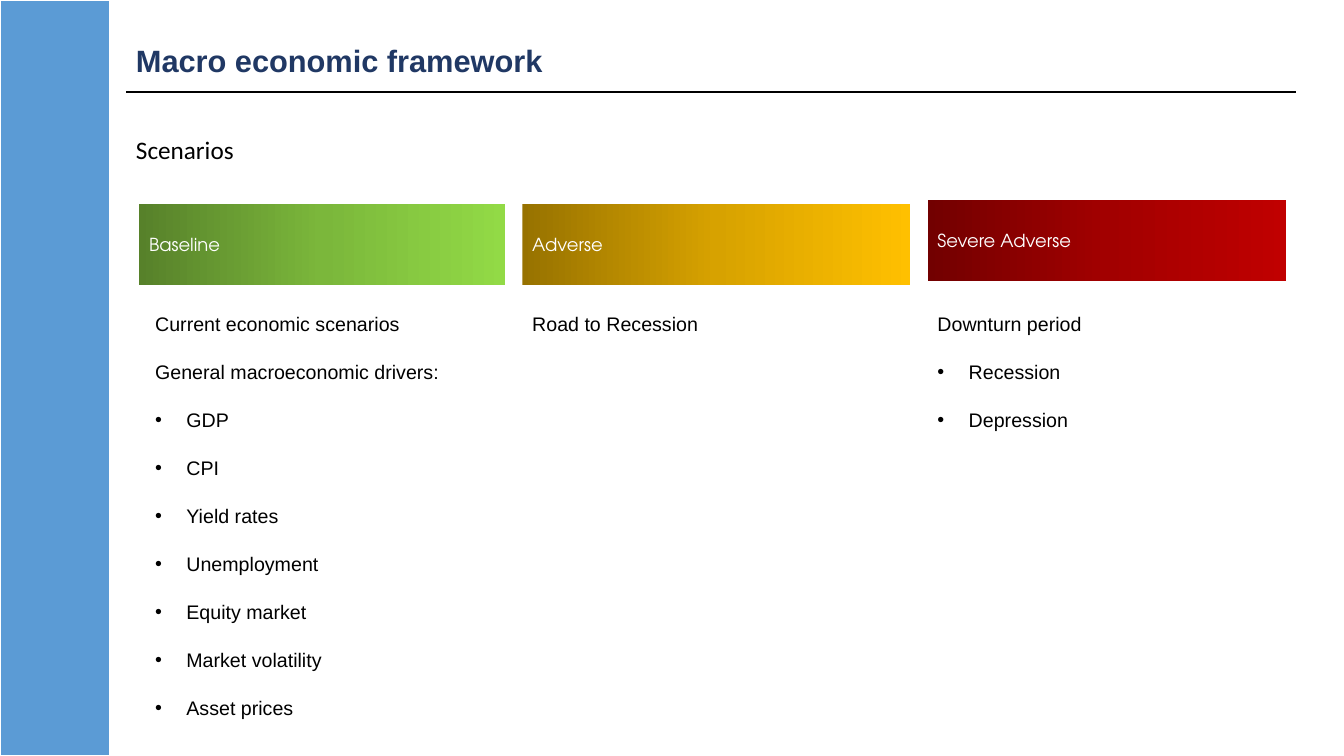
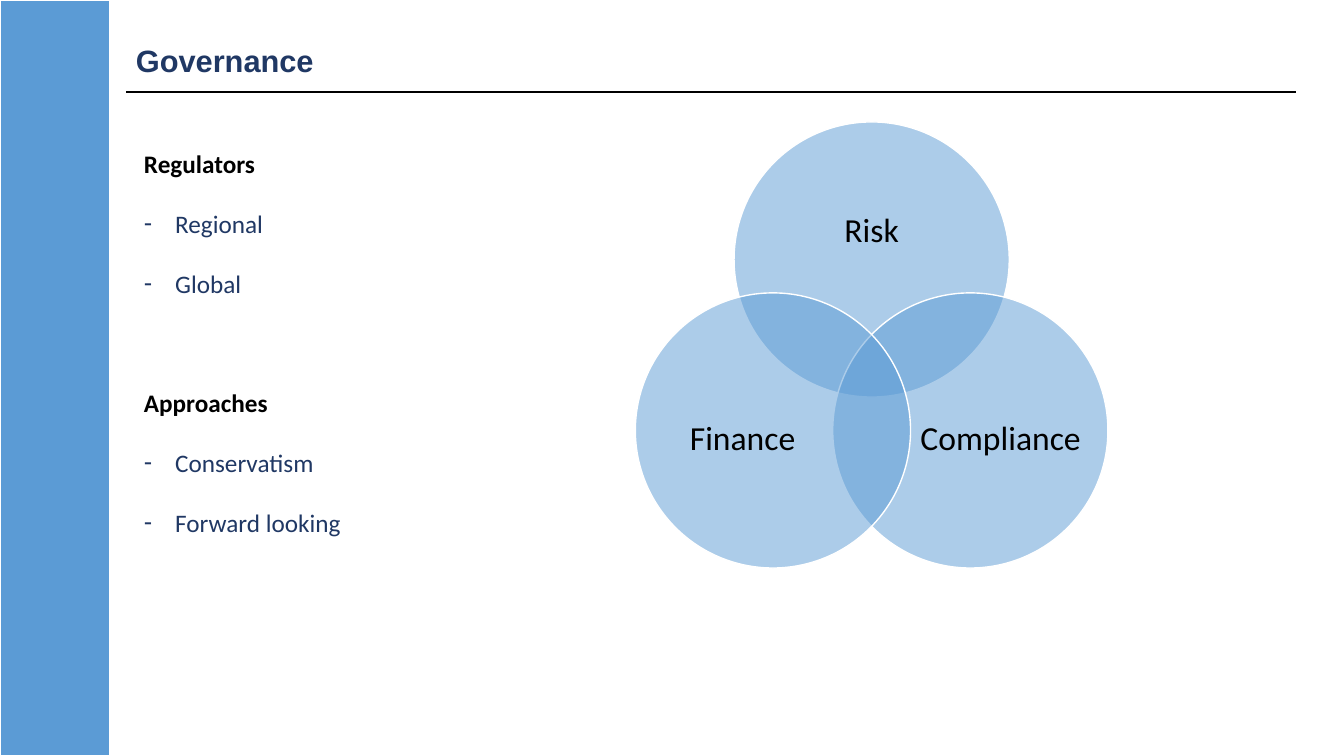
from copy import deepcopy
from dataclasses import dataclass
from math import cos, radians, sin

from lxml.etree import SubElement
from pptx import Presentation
from pptx.dml.color import RGBColor
from pptx.enum.shapes import MSO_CONNECTOR, MSO_SHAPE
from pptx.enum.text import MSO_ANCHOR, PP_ALIGN
from pptx.oxml.ns import qn
from pptx.util import Inches, Pt

WIDE, HIGH = 13.33, 7.5
HUES = {"blue": "5B9BD5", "navy": "203864", "black": "000000", "white": "FFFFFF"}
RAMPS = {
    "green": ("57812A", "7BB73B", "92DA46"),
    "amber": ("977200", "D7A200", "FFC000"),
    "red": ("720000", "A20000", "C00000"),
}


@dataclass
class Box:
    x: float
    y: float
    w: float
    h: float

    def inner(self, x, y, w, h):
        """Box given as shares of this one."""
        return Box(self.x + x * self.w, self.y + y * self.h, w * self.w, h * self.h)

    def spot(self):
        return [Inches(v) for v in (self.x, self.y, self.w, self.h)]


PAGE = Box(0, 0, WIDE, HIGH)


def tint(name):
    return RGBColor.from_string(HUES[name])


def style(para, size, face, hue="black", bold=False):
    font = para.font
    font.size, font.name, font.bold = Pt(size), face, bold
    font.color.rgb = tint(hue)


def bullet(para, mark):
    props = para._p.get_or_add_pPr()
    props.set("marL", str(Inches(0.31)))
    props.set("indent", str(-Inches(0.31)))
    for tag in props.findall(qn("a:defRPr")):
        props.remove(tag)
        props.append(tag)
    last = props.find(qn("a:defRPr"))
    face = SubElement(props, qn("a:buFont"))
    face.set("typeface", "Arial")
    sign = SubElement(props, qn("a:buChar"))
    sign.set("char", mark)
    if last is not None:
        props.append(last)


def write(shapes, box, text, size, face, hue="black", bold=False):
    frame = shapes.add_textbox(*box.spot()).text_frame
    frame.word_wrap = True
    para = frame.paragraphs[0]
    para.text = text
    style(para, size, face, hue, bold)
    return frame


def listing(shapes, box, rows, size, face, gap, mark, hue="black", bold=False):
    """Rows are (kind, text): a head, or an item with a bullet."""
    frame = shapes.add_textbox(*box.spot()).text_frame
    frame.word_wrap = True
    for num, (kind, text) in enumerate(rows):
        para = frame.add_paragraph() if num else frame.paragraphs[0]
        para.text = text
        item = kind == "item"
        style(para, size, face, hue if item else "black", bold and not item)
        if num:
            # A bold head after items opens a new section
            para.space_before = Pt(gap * (3 if bold and not item else 1))
        if item:
            bullet(para, mark)


def base(deck, title):
    """Side band, title and rule of every slide."""
    slide = deck.slides.add_slide(deck.slide_layouts[6])
    shapes = slide.shapes
    band = shapes.add_shape(MSO_SHAPE.RECTANGLE, *PAGE.inner(0, 0, 0.082, 1).spot())
    band.shadow.inherit = False
    band.fill.solid()
    band.fill.fore_color.rgb = tint("blue")
    band.line.color.rgb = tint("white")
    band.line.width = Pt(1.5)

    top = Box(1.25, 0.36, 11.6, 0.55)
    left, right, low = (Inches(v) for v in (top.x, top.x + top.w, top.y + top.h))
    rule = shapes.add_connector(MSO_CONNECTOR.STRAIGHT, left, low, right, low)
    rule.line.color.rgb = tint("black")
    rule.line.width = Pt(1.5)
    SubElement(rule._element.spPr, qn("a:effectLst"))
    write(shapes, top.inner(0, 0, 0.84, 0.85), title, 22, "Arial", "navy", True)
    return shapes


def bar(shapes, box, text, ramp):
    """Scenario heading with a three-stop gradient."""
    shape = shapes.add_shape(MSO_SHAPE.RECTANGLE, *box.spot())
    shape.shadow.inherit = False
    shape.line.fill.background()
    shape.fill.gradient()
    shape.fill.gradient_angle = 0
    stops = shape._element.spPr.find(".//" + qn("a:gsLst"))
    stops.insert(1, deepcopy(stops[0]))
    for num, (stop, code) in enumerate(zip(shape.fill.gradient_stops, RAMPS[ramp])):
        stop.color.rgb = RGBColor.from_string(code)
        stop.position = num / 2
    frame = shape.text_frame
    frame.word_wrap = True
    frame.vertical_anchor = MSO_ANCHOR.MIDDLE
    para = frame.paragraphs[0]
    para.text = text
    para.alignment = PP_ALIGN.LEFT
    style(para, 12.8, "TeX Gyre Adventor", "white")


def cases(shapes, box):
    """Three scenario columns, each a bar over a list."""
    drivers = ("GDP", "CPI", "Yield rates", "Unemployment", "Equity market",
               "Market volatility", "Asset prices")
    # Heading, ramp, width, rise of the bar, indent of the list, heads, items
    cols = (
        ("Baseline", "green", 3.63, 0, 0.06,
         ("Current economic scenarios", "General macroeconomic drivers:"), drivers),
        ("Adverse", "amber", 3.85, 0, 0, ("Road to Recession",), ()),
        ("Severe Adverse", "red", 3.56, 0.04, 0,
         ("Downturn period",), ("Recession", "Depression")),
    )
    gap = (box.w - sum(col[2] for col in cols)) / (len(cols) - 1)
    left = box.x
    for name, ramp, wide, rise, inset, heads, items in cols:
        col = Box(left, box.y, wide, box.h)
        bar(shapes, Box(left, box.y - rise, wide, 0.81), name, ramp)
        rows = [("head", t) for t in heads] + [("item", t) for t in items]
        area = col.inner(inset / wide, 0.2, 0.94, 0.8)
        listing(shapes, area, rows, 14, "Arial", 17.5, "•")
        left += wide + gap


def venn(shapes, box):
    """Three circles around the centre of the box."""
    size, reach = 0.582 * box.w, 0.241 * box.w
    midx, midy = box.x + box.w / 2, box.y + size / 2 + reach
    # Label, angle, then label shift and size as shares of the circle
    discs = (
        ("Risk", 90, 0, -0.1, 0.73, 0.45),
        ("Compliance", -30, 0.11, 0.035, 0.6, 0.55),
        ("Finance", 210, -0.11, 0.035, 0.6, 0.55),
    )
    group = shapes.add_group_shape().shapes
    for name, turn, dx, dy, wide, high in discs:
        x = midx + reach * cos(radians(turn)) - size / 2
        y = midy - reach * sin(radians(turn)) - size / 2
        ring = Box(x, y, size, size)
        disc = group.add_shape(MSO_SHAPE.OVAL, *ring.spot())
        disc.shadow.inherit = False
        disc.fill.solid()
        disc.fill.fore_color.rgb = tint("blue")
        code = disc._element.spPr.find(qn("a:solidFill"))[0]
        SubElement(code, qn("a:alpha")).set("val", "50000")
        disc.line.color.rgb = tint("white")
        disc.line.width = Pt(1)

        area = ring.inner(0.5 + dx - wide / 2, 0.5 + dy - high / 2, wide, high)
        frame = write(group, area, name, 24, "Calibri")
        frame.margin_left = frame.margin_right = 0
        frame.margin_top = frame.margin_bottom = 0
        frame.vertical_anchor = MSO_ANCHOR.MIDDLE
        para = frame.paragraphs[0]
        para.alignment = PP_ALIGN.CENTER
        para.line_spacing = 0.9


def macro(deck):
    shapes = base(deck, "Macro economic framework")
    write(shapes, Box(1.25, 1.28, 10.91, 0.71), "Scenarios", 18, "Calibri")
    cases(shapes, Box(1.38, 2.02, 11.38, 5.12))


def govern(deck):
    shapes = base(deck, "Governance")
    rows = (
        ("head", "Regulators"), ("item", "Regional"), ("item", "Global"),
        ("head", "Approaches"), ("item", "Conservatism"), ("item", "Forward looking"),
    )
    area = Box(1.33, 1.42, 4.2, 5.25)
    listing(shapes, area, rows, 18, "Calibri", 21.2, "-", "navy", True)
    venn(shapes, Box(6.3, 1.21, 4.69, 4.43))


def main():
    deck = Presentation()
    deck.slide_width, deck.slide_height = Inches(WIDE), Inches(HIGH)
    macro(deck)
    govern(deck)
    deck.save("out.pptx")


if __name__ == "__main__":
    main()
